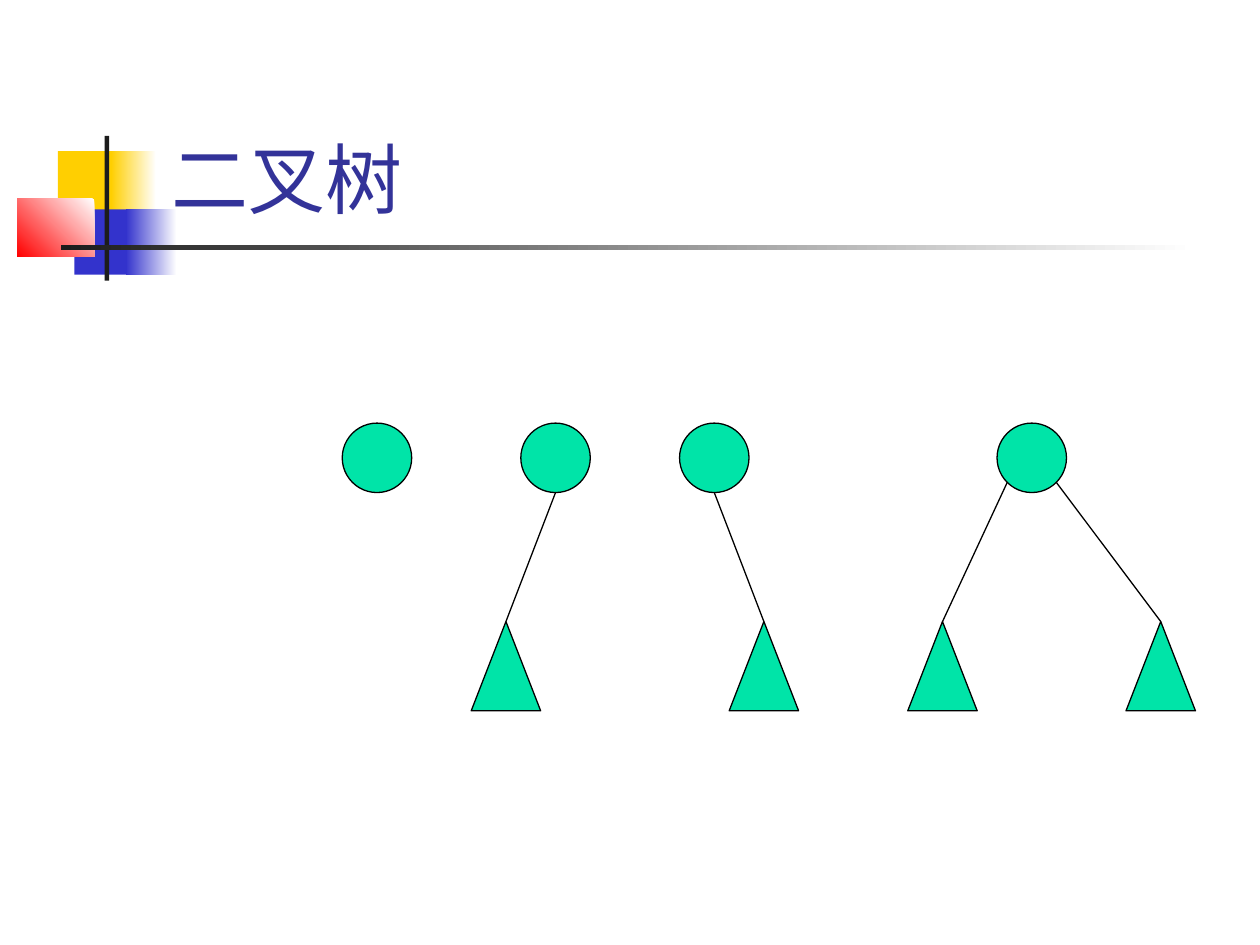
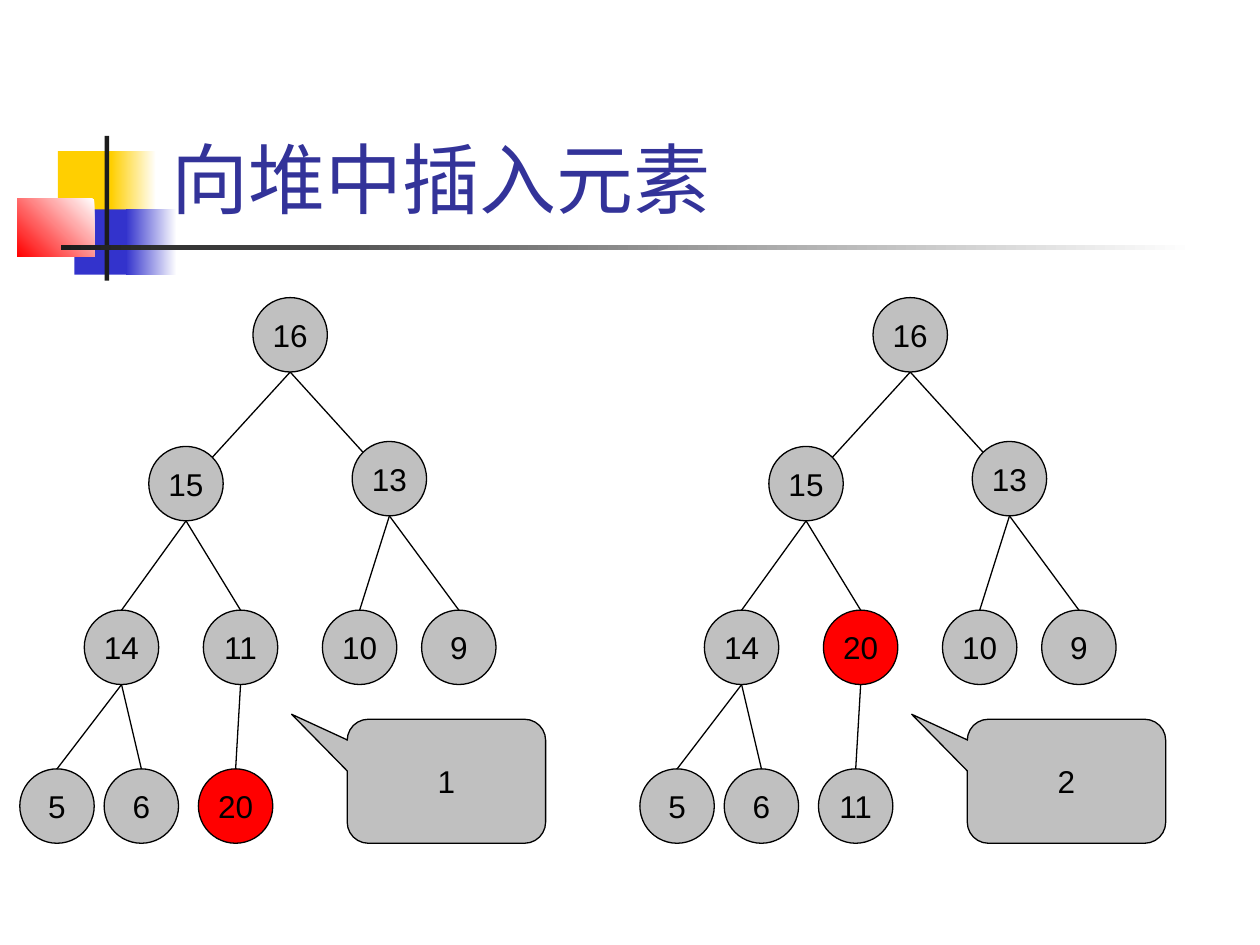
from dataclasses import dataclass
from math import cos, radians, sin

from lxml import etree
from pptx import Presentation
from pptx import util as u
from pptx.dml.color import RGBColor
from pptx.enum import shapes, text
from pptx.oxml.ns import qn
from pptx.shapes.autoshape import Shape
from pptx.slide import Slide, SlideLayout

SHAPE = shapes.MSO_SHAPE
BLACK, WHITE, GREY, RED = "000000", "FFFFFF", "C0C0C0", "FF0000"
YELLOW, BLUE, CHARCOAL = "FFCF01", "3333CC", "1C1C1C"
GREEN, TITLE_BLUE = "00E4A8", "333399"
TOP_LEFT, TOP, TOP_RIGHT = 225, 270, 315
BOTTOM_RIGHT, BOTTOM, BOTTOM_LEFT = 45, 90, 135


@dataclass(frozen=True)
class Band:
    color: str
    x: float
    y: float
    w: float
    h: float
    fade_angle: int | None = None


@dataclass(frozen=True)
class Circle:
    x: float
    y: float
    size: float
    entry: int = TOP

    def point(self, angle: int) -> tuple[float, float]:
        r = self.size / 2
        return (self.x + r + r * cos(radians(angle)),
                self.y + r + r * sin(radians(angle)))


@dataclass(frozen=True)
class Tree:
    root_x: float
    subtree_xs: tuple[float, ...] = ()


@dataclass(frozen=True)
class Heap:
    x: float
    step: str
    values: tuple[int, ...]


BANDS = [
    Band(YELLOW, 1.17, 3.05, 1.22, 1.32),
    Band(YELLOW, 2.24, 3.05, 0.91, 1.32, 180),
    Band(BLUE, 1.5, 4.22, 1.17, 1.32),
    Band(BLUE, 2.54, 4.22, 1.02, 1.32, 180),
    Band(RED, 0.35, 4.01, 1.55, 1.17, 225),
    Band(CHARCOAL, 2.11, 2.74, 0.09, 2.92),
    Band(CHARCOAL, 1.23, 4.94, 22.86, 0.1, 180),
]

ROOT_SIZE, ROOT_Y = 1.4, 8.53
SUBTREE_Y, SUBTREE_H = 12.53, 1.8
TREES = [
    Tree(6.9),
    Tree(10.5, (9.5,)),
    Tree(13.7, (14.7,)),
    Tree(20.1, (18.3, 22.7)),
]

NODE_SIZE = 1.5
NODE_SPOTS = [
    (5.1, 6, TOP),
    (3, 9, TOP_RIGHT), (7.1, 8.9, TOP_LEFT),
    (1.7, 12.3, TOP), (4.1, 12.3, TOP), (6.5, 12.3, TOP), (8.5, 12.3, TOP),
    (0.4, 15.5, TOP), (2.1, 15.5, TOP), (4, 15.5, TOP),
]
INSERTED = 20
HEAPS = [
    Heap(0, "1", (16, 15, 13, 14, 11, 10, 9, 5, 6, INSERTED)),
    Heap(12.5, "2", (16, 15, 13, 14, INSERTED, 10, 9, 5, 6, 11)),
]


def rgb(color: str) -> RGBColor:
    return RGBColor.from_string(color)


def add_shape(s: Slide, kind: SHAPE, x: float, y: float, w: float, h: float,
              fill: str, label: str = "") -> Shape:
    sp = s.shapes.add_shape(kind, u.Cm(x), u.Cm(y), u.Cm(w), u.Cm(h))
    sp.shadow.inherit = False
    sp.fill.solid()
    sp.fill.fore_color.rgb = rgb(fill)
    sp.line.color.rgb = rgb(BLACK)
    sp.line.width = u.Pt(0.75)
    if label:
        tf = sp.text_frame
        tf.word_wrap = False
        tf.vertical_anchor = text.MSO_ANCHOR.MIDDLE
        p = tf.paragraphs[0]
        p.text = label
        p.alignment = text.PP_ALIGN.CENTER
        p.font.size = u.Pt(18)
        p.font.name = "Arial"
        p.font.color.rgb = rgb(BLACK)
    return sp


def add_edge(s: Slide, start: tuple[float, float],
             end: tuple[float, float]) -> None:
    line = s.shapes.add_connector(shapes.MSO_CONNECTOR.STRAIGHT,
                                  *(u.Cm(v) for v in start + end))
    line.line.color.rgb = rgb(BLACK)
    line.line.width = u.Pt(0.75)
    sp_pr = line.element.find(qn("p:spPr"))
    etree.SubElement(sp_pr, qn("a:effectLst"))


def add_band(s: Slide, band: Band) -> Shape:
    sp = add_shape(s, SHAPE.RECTANGLE, band.x, band.y, band.w, band.h,
                   band.color)
    sp.line.fill.background()
    if band.fade_angle is not None:
        sp.fill.gradient()
        sp.fill.gradient_angle = band.fade_angle
        for stop, color in zip(sp.fill.gradient_stops, (WHITE, band.color)):
            stop.color.rgb = rgb(color)
    return sp


def decorate_layout(layout: SlideLayout, s: Slide) -> None:
    for ph in list(layout.placeholders):
        if ph.placeholder_format.type != shapes.PP_PLACEHOLDER.TITLE:
            layout.shapes.element.remove(ph.element)
    for sp in [add_band(s, band) for band in BANDS]:
        layout.shapes.element.append(sp.element)


def set_title(s: Slide, title: str) -> None:
    sp = s.shapes.title
    sp.left, sp.top = u.Cm(3.2), u.Cm(0.58)
    sp.width, sp.height = u.Cm(21.64), u.Cm(4.06)
    tf = sp.text_frame
    tf.auto_size = text.MSO_AUTO_SIZE.NONE
    tf.word_wrap = True
    tf.vertical_anchor = text.MSO_ANCHOR.BOTTOM
    p = tf.paragraphs[0]
    p.text = title
    p.alignment = text.PP_ALIGN.LEFT
    p.font.size = u.Pt(44)
    p.font.name = "Cabin"
    p.font.color.rgb = rgb(TITLE_BLUE)


def draw_tree(s: Slide, tree: Tree) -> None:
    root = Circle(tree.root_x, ROOT_Y, ROOT_SIZE)
    add_shape(s, SHAPE.OVAL, root.x, root.y, root.size, root.size, GREEN)
    exits = (BOTTOM_LEFT, BOTTOM_RIGHT) if len(tree.subtree_xs) == 2 else (BOTTOM,)
    for x, angle in zip(tree.subtree_xs, exits):
        add_shape(s, SHAPE.ISOSCELES_TRIANGLE, x, SUBTREE_Y, ROOT_SIZE,
                  SUBTREE_H, GREEN)
        add_edge(s, root.point(angle), (x + ROOT_SIZE / 2, SUBTREE_Y))


def draw_heap(s: Slide, heap: Heap) -> None:
    nodes = [Circle(heap.x + x, y, NODE_SIZE, entry)
             for x, y, entry in NODE_SPOTS]
    for node, value in zip(nodes, heap.values):
        add_shape(s, SHAPE.OVAL, node.x, node.y, node.size, node.size,
                  RED if value == INSERTED else GREY, str(value))
    for i, node in enumerate(nodes[1:], 1):
        parent = nodes[(i - 1) // 2]
        add_edge(s, parent.point(BOTTOM), node.point(node.entry))
    callout = add_shape(s, SHAPE.ROUNDED_RECTANGULAR_CALLOUT, heap.x + 7, 14.5,
                        4, 2.5, GREY, heap.step)
    for i, value in enumerate((-0.78, -0.54, 0.17)):
        callout.adjustments[i] = value


def main() -> None:
    prs = Presentation()
    prs.slide_width, prs.slide_height = u.Cm(25.4), u.Cm(19.05)
    layout = prs.slide_layouts.get_by_name("Title Only")

    s = prs.slides.add_slide(layout)
    decorate_layout(layout, s)
    set_title(s, "二叉树")
    for tree in TREES:
        draw_tree(s, tree)

    s = prs.slides.add_slide(layout)
    set_title(s, "向堆中插入元素")
    for heap in HEAPS:
        draw_heap(s, heap)

    prs.save("out.pptx")


if __name__ == "__main__":
    main()
